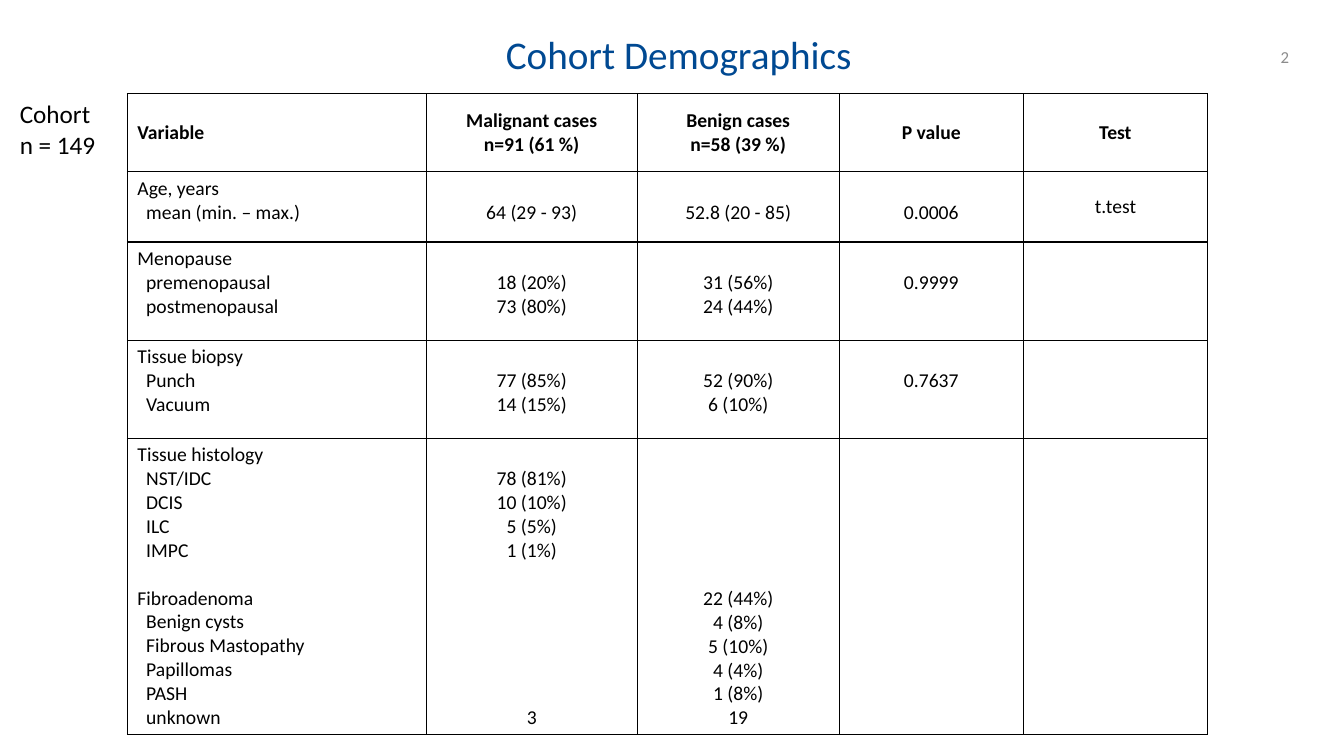
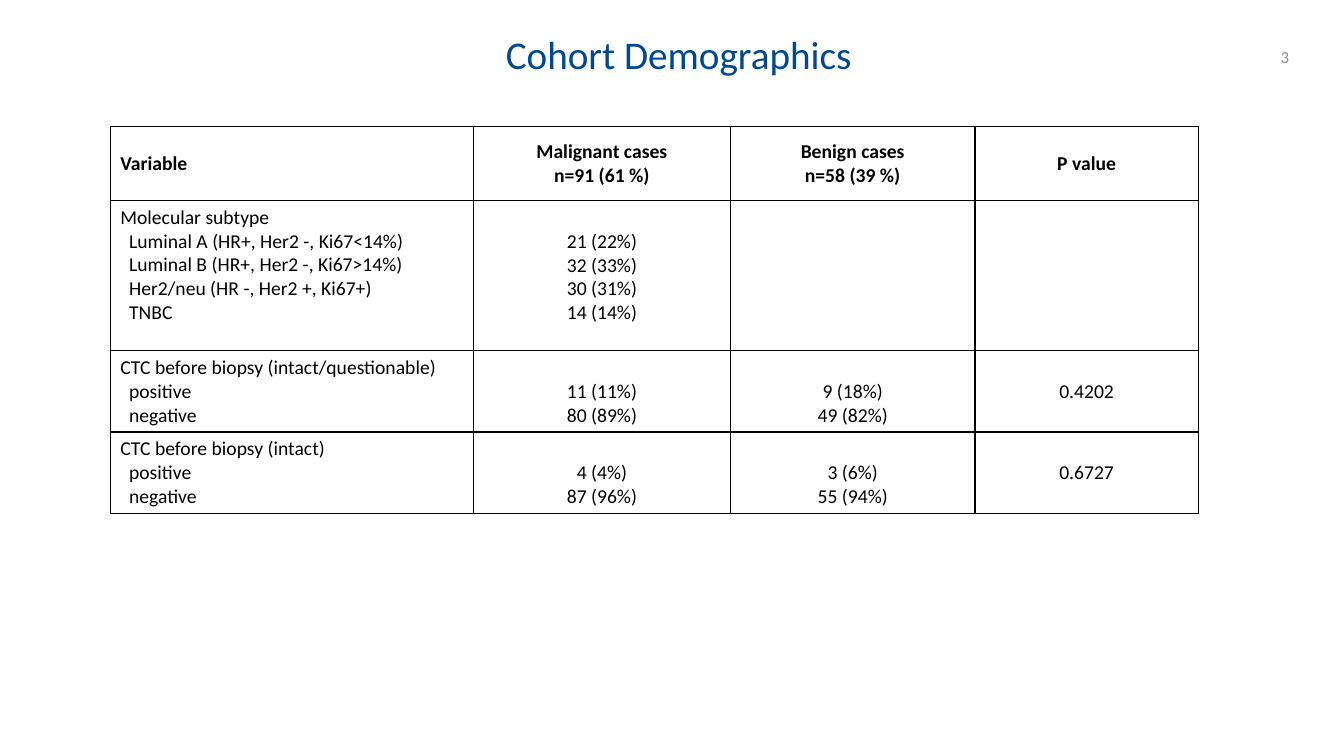
from dataclasses import dataclass
from itertools import zip_longest

from lxml import etree
from pptx import Presentation
from pptx.dml.color import RGBColor
from pptx.enum.text import MSO_ANCHOR, PP_ALIGN
from pptx.oxml.ns import qn
from pptx.util import Cm, Pt

LEFT, CENTER, RIGHT = PP_ALIGN.LEFT, PP_ALIGN.CENTER, PP_ALIGN.RIGHT
TOP, MIDDLE = MSO_ANCHOR.TOP, MSO_ANCHOR.MIDDLE


@dataclass(frozen=True)
class Theme:
    font: str = "Calibri"
    title: tuple = (28, "004992")
    note: tuple = (18, "000000")
    body: tuple = (14, "000000")
    number: tuple = (12, "8C8C8C")
    border: str = "000000"
    border_width: int = Pt(1)
    table_line: int = Pt(17.1)
    indent: int = Cm(0.22)
    cell_margin: int = Cm(0.13)


THEME = Theme()

# Content: each group is one table row; each line is (level, label, values...)
# An empty label leaves one line of space.
TITLE = "Cohort Demographics"
HEADINGS = [
    ["Variable"],
    ["Malignant cases", "n=91 (61 %)"],
    ["Benign cases", "n=58 (39 %)"],
    ["P value"],
    ["Test"],
]
TEST_COLUMN = HEADINGS.index(["Test"])

PAGES = [
    {
        "number": "2",
        "note": ["Cohort", "n = 149"],
        "origin": (3.21, 2.36),
        "columns": [7.53, 5.32, 5.09, 4.64, 4.64],
        "rows": [1.96, 1.78, 2.47, 2.47, 7.46],
        "groups": [
            [
                (0, "Age, years"),
                (1, "mean (min. – max.)", "64 (29 - 93)", "52.8 (20 - 85)", "0.0006", "t.test"),
            ],
            [
                (0, "Menopause"),
                (1, "premenopausal", "18 (20%)", "31 (56%)", "0.9999"),
                (1, "postmenopausal", "73 (80%)", "24 (44%)"),
            ],
            [
                (0, "Tissue biopsy"),
                (1, "Punch", "77 (85%)", "52 (90%)", "0.7637"),
                (1, "Vacuum", "14 (15%)", "6 (10%)"),
            ],
            [
                (0, "Tissue histology"),
                (1, "NST/IDC", "78 (81%)"),
                (1, "DCIS", "10 (10%)"),
                (1, "ILC", "5 (5%)"),
                (1, "IMPC", "1 (1%)"),
                (0, ""),
                (0, "Fibroadenoma", "", "22 (44%)"),
                (1, "Benign cysts", "", "4 (8%)"),
                (1, "Fibrous Mastopathy", "", "5 (10%)"),
                (1, "Papillomas", "", "4 (4%)"),
                (1, "PASH", "", "1 (8%)"),
                (1, "unknown", "3", "19"),
            ],
        ],
    },
    {
        "number": "3",
        "note": [],
        "origin": (2.78, 3.19),
        "columns": [9.15, 6.48, 6.16, 5.63],
        "rows": [1.86, 3.79, 2.04, 2.04],
        "groups": [
            [
                (0, "Molecular subtype"),
                (1, "Luminal A (HR+, Her2 -, Ki67<14%)", "21 (22%)"),
                (1, "Luminal B (HR+, Her2 -, Ki67>14%)", "32 (33%)"),
                (1, "Her2/neu (HR -, Her2 +, Ki67+)", "30 (31%)"),
                (1, "TNBC", "14 (14%)"),
            ],
            [
                (0, "CTC before biopsy (intact/questionable)"),
                (1, "positive", "11 (11%)", "9 (18%)", "0.4202"),
                (1, "negative", "80 (89%)", "49 (82%)"),
            ],
            [
                (0, "CTC before biopsy (intact)"),
                (1, "positive", "4 (4%)", "3 (6%)", "0.6727"),
                (1, "negative", "87 (96%)", "55 (94%)"),
            ],
        ],
    },
]


# Text
def write_line(para, text, style, bold=False, **layout):
    size, color = style
    span = para.add_run()
    span.text = text
    formats = {"name": THEME.font, "size": Pt(size), "bold": bold}
    for name, value in formats.items():
        setattr(span.font, name, value)
    span.font.color.rgb = RGBColor.from_string(color)
    for name, value in layout.items():
        setattr(para, name, value)


def add_text(page, place, lines, style, frame_format=None, **layout):
    box = page.shapes.add_textbox(*map(Cm, place))
    frame = box.text_frame
    for name, value in {"word_wrap": True, **(frame_format or {})}.items():
        setattr(frame, name, value)
    for index, text in enumerate(lines):
        para = frame.add_paragraph() if index else frame.paragraphs[0]
        write_line(para, text, style, **layout)


# Table cells
def add_borders(cell):
    properties = cell._tc.get_or_add_tcPr()
    for index, side in enumerate(("a:lnL", "a:lnR", "a:lnT", "a:lnB")):
        line = etree.Element(qn(side), w=str(THEME.border_width))
        fill = etree.SubElement(line, qn("a:solidFill"))
        etree.SubElement(fill, qn("a:srgbClr"), val=THEME.border)
        properties.insert(index, line)


def fill_cell(cell, lines, align, anchor, levels=(), bold=False):
    """Write the lines; empty ones become a top margin or paragraph spacing."""
    cell.fill.background()
    add_borders(cell)
    cell.vertical_anchor = anchor
    gap, started = 0, False
    for text, level in zip_longest(lines, levels, fillvalue=0):
        if not text:
            gap += THEME.table_line
            continue
        frame = cell.text_frame
        para = frame.add_paragraph() if started else frame.paragraphs[0]
        write_line(para, text, THEME.body, bold, alignment=align)
        if level:
            para._p.get_or_add_pPr().set("marL", str(THEME.indent * level))
        if started:
            para.space_before = gap
        elif anchor == TOP:
            cell.margin_top = THEME.cell_margin + gap
        gap, started = 0, True


def add_cohort_table(page, content):
    columns, rows = content["columns"], content["rows"]
    place = (*content["origin"], sum(columns), sum(rows))
    table = page.shapes.add_table(len(rows), len(columns), *map(Cm, place)).table
    table.first_row = table.horz_banding = False
    for column, width in zip(table.columns, columns):
        column.width = Cm(width)
    for row, height in zip(table.rows, rows):
        row.height = Cm(height)

    for index in range(len(columns)):
        align = CENTER if index else LEFT
        fill_cell(table.cell(0, index), HEADINGS[index], align, MIDDLE, bold=True)
        anchor = MIDDLE if index == TEST_COLUMN else TOP
        for row, group in enumerate(content["groups"], start=1):
            texts = [line[index + 1] if index + 1 < len(line) else "" for line in group]
            levels = [0 if index else line[0] for line in group]
            fill_cell(table.cell(row, index), texts, align, anchor, levels)


# Pages
def add_page(deck, content):
    page = deck.slides.add_slide(deck.slide_layouts[6])
    add_text(page, (31.75, 1.12, 0.99, 0.61), [content["number"]], THEME.number,
             {"vertical_anchor": MIDDLE}, alignment=RIGHT)
    add_cohort_table(page, content)
    no_margins = {f"margin_{side}": 0 for side in ("left", "top", "right", "bottom")}
    add_text(page, (8.81, 0.89, 16.59, 2.01), [TITLE], THEME.title,
             no_margins, alignment=CENTER, line_spacing=0.9)
    if content["note"]:
        add_text(page, (0.25, 2.36, 2.67, 1.8), content["note"], THEME.note)


def main():
    deck = Presentation()
    deck.slide_width, deck.slide_height = Cm(33.87), Cm(19.05)
    for content in PAGES:
        add_page(deck, content)
    deck.save("out.pptx")


if __name__ == "__main__":
    main()
